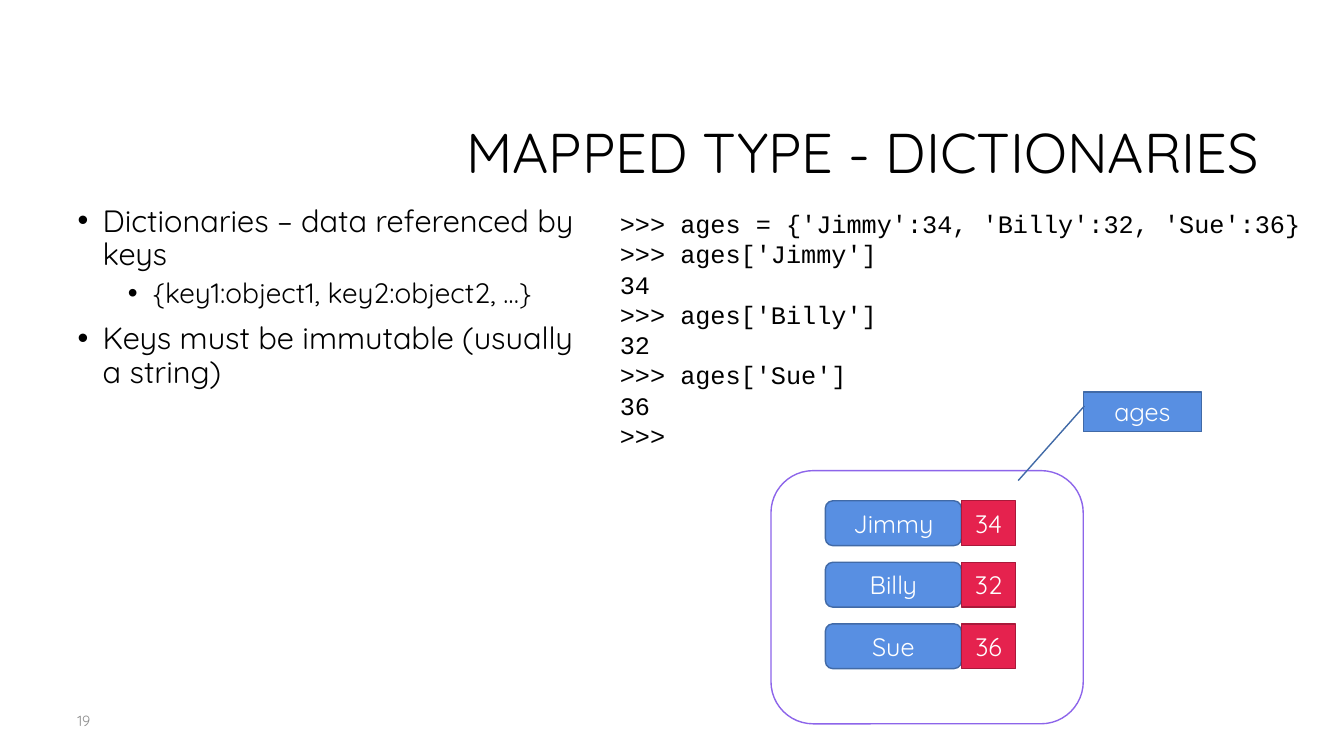
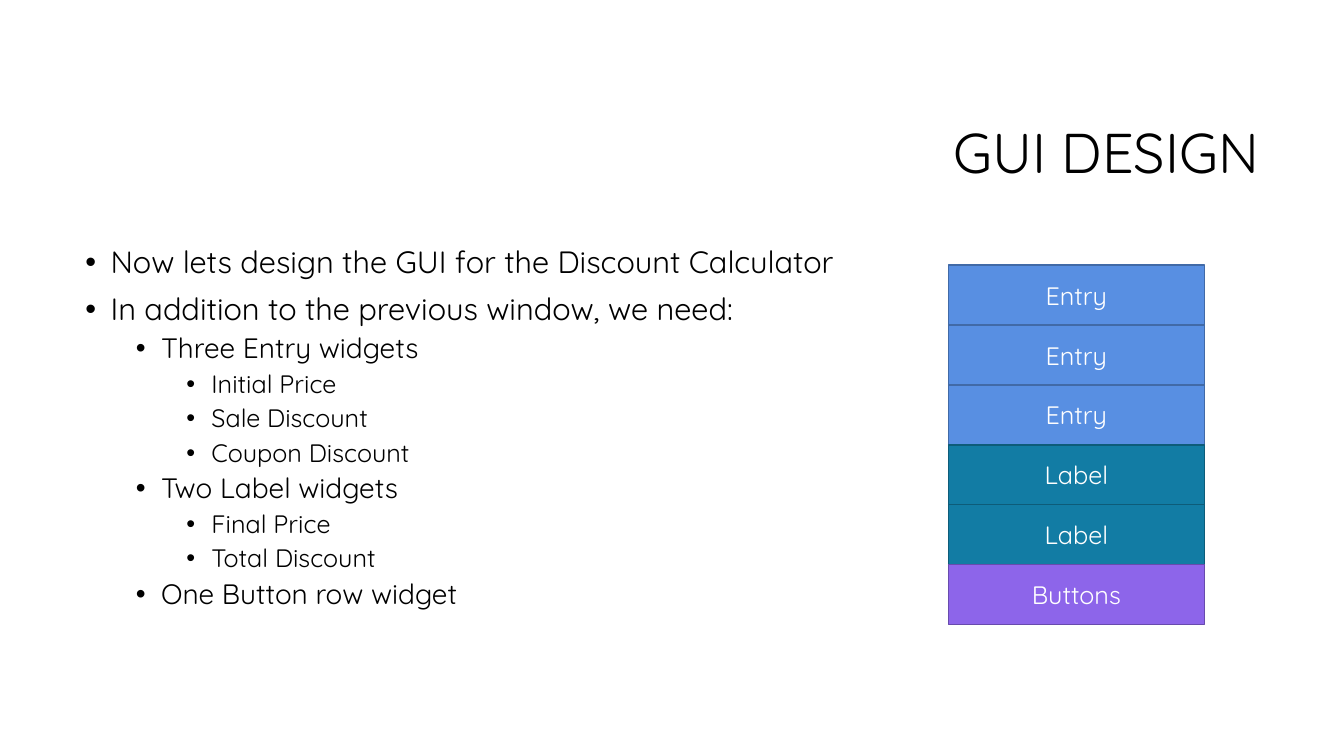
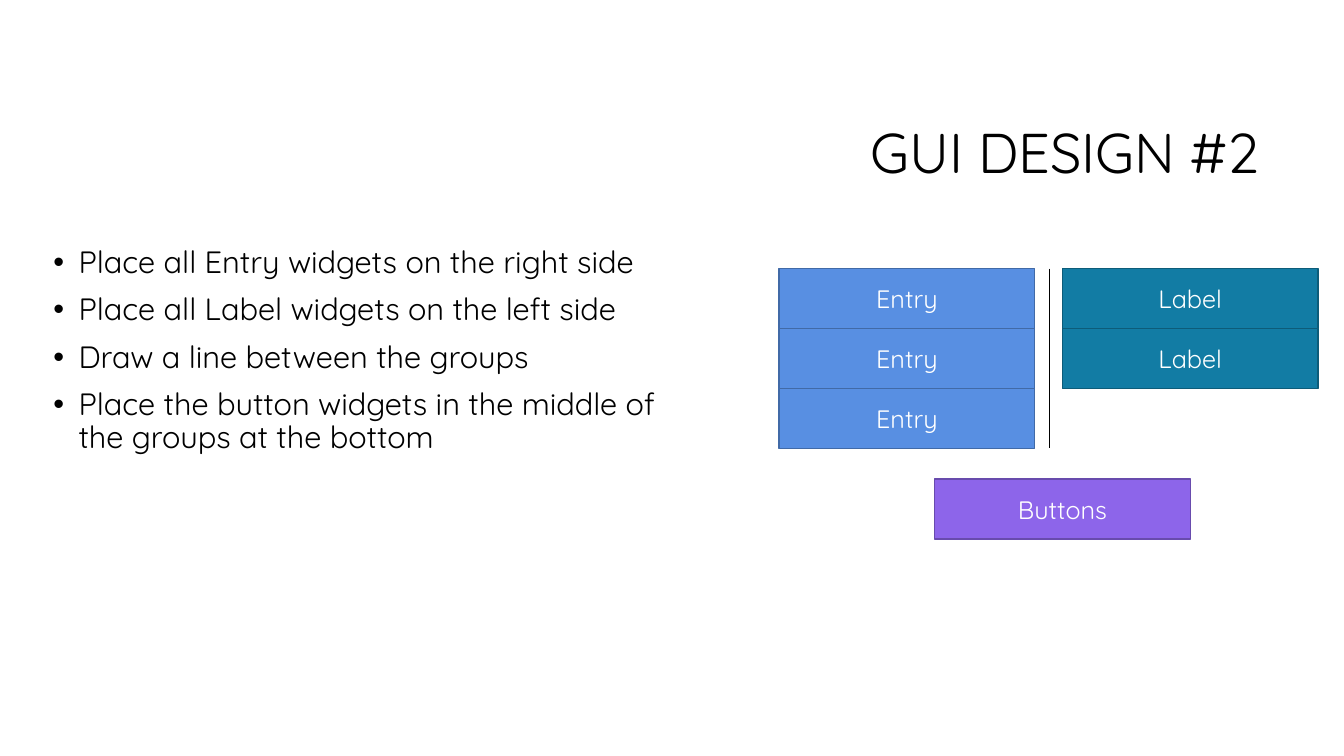
from dataclasses import dataclass

from lxml.etree import SubElement
from pptx import Presentation
from pptx.dml.color import RGBColor
from pptx.enum.shapes import MSO_CONNECTOR, MSO_SHAPE
from pptx.enum.text import MSO_ANCHOR, MSO_AUTO_SIZE, PP_ALIGN
from pptx.oxml.ns import qn
from pptx.presentation import Presentation as Deck
from pptx.shapes.autoshape import Shape
from pptx.slide import Slide
from pptx.text.text import TextFrame, _Paragraph
from pptx.util import Cm, Pt

COLORS = {
    "white": "FFFFFF",
    "black": "000000",
    "gray": "8C8C8C",
    "blue": "588FE2",
    "blue_edge": "416AA7",
    "red": "E5224E",
    "red_edge": "A9193A",
    "teal": "127CA4",
    "teal_edge": "0D5C79",
    "purple": "8D65EA",
    "purple_edge": "684BAD",
}
TEXT_FONT = "Quicksand"
CODE_FONT = "Courier New"
BULLET_SIZES = (22, 20, 18)
WIDGET_COLORS = {"Entry": "blue", "Label": "teal", "Buttons": "purple"}
WIDGET_WIDTH, WIDGET_HEIGHT = 6.45, 1.51


@dataclass(frozen=True)
class Area:
    left: float
    top: float
    width: float
    height: float


@dataclass(frozen=True)
class Bullet:
    text: str
    level: int = 0


@dataclass(frozen=True)
class WidgetStack:
    left: float
    top: float
    labels: tuple[str, ...]


TITLE_AREA = Area(8.05, 2.13, 23.93, 3.58)


def color(name: str) -> RGBColor:
    return RGBColor.from_string(COLORS[name])


def place(shape: Shape, area: Area) -> None:
    shape.left, shape.top = Cm(area.left), Cm(area.top)
    shape.width, shape.height = Cm(area.width), Cm(area.height)


def write(frame: TextFrame, text: str, *, size: float = 18, ink: str = "black",
          font: str = TEXT_FONT, align: PP_ALIGN = PP_ALIGN.LEFT,
          line_spacing: float = 1.0, space_before: float = 0) -> _Paragraph:
    first = frame.paragraphs[0]
    para = frame.add_paragraph() if first.runs else first
    para.alignment = align
    para.line_spacing = line_spacing
    para.space_before = Pt(space_before)
    span = para.add_run()
    span.text = text
    span.font.size = Pt(size)
    span.font.name = font
    span.font.color.rgb = color(ink)
    return para


def write_bullet(frame: TextFrame, bullet: Bullet) -> None:
    para = write(frame, bullet.text, size=BULLET_SIZES[bullet.level],
                 line_spacing=0.9, space_before=5 if bullet.level else 10)
    para.level = bullet.level
    properties = para._p.get_or_add_pPr()
    properties.set("marL", str(Cm(0.635 + 1.27 * bullet.level)))
    properties.set("indent", str(Cm(-0.635)))
    SubElement(properties, qn("a:buChar")).set("char", "•")


def add_page(deck: Deck, title: str, body_area: Area, bullets: list[Bullet]) -> Slide:
    page = deck.slides.add_slide(deck.slide_layouts[1])
    heading, body = page.shapes.title, page.placeholders[1]
    for box, area, anchor in ((heading, TITLE_AREA, MSO_ANCHOR.MIDDLE),
                              (body, body_area, MSO_ANCHOR.TOP)):
        place(box, area)
        box.text_frame.word_wrap = True
        box.text_frame.auto_size = MSO_AUTO_SIZE.NONE
        box.text_frame.vertical_anchor = anchor
    write(heading.text_frame, title, size=40, align=PP_ALIGN.RIGHT, line_spacing=0.9)
    for bullet in bullets:
        write_bullet(body.text_frame, bullet)
    return page


def add_text_box(page: Slide, area: Area) -> TextFrame:
    box = page.shapes.add_textbox(
        Cm(area.left), Cm(area.top), Cm(area.width), Cm(area.height))
    return box.text_frame


def add_block(page: Slide, area: Area, *, fill: str, edge: str, text: str = "",
              kind: MSO_SHAPE = MSO_SHAPE.RECTANGLE) -> Shape:
    block = page.shapes.add_shape(
        kind, Cm(area.left), Cm(area.top), Cm(area.width), Cm(area.height))
    block.shadow.inherit = False
    block.fill.solid()
    block.fill.fore_color.rgb = color(fill)
    block.line.color.rgb = color(edge)
    block.line.width = Pt(1)
    if text:
        block.text_frame.vertical_anchor = MSO_ANCHOR.MIDDLE
        write(block.text_frame, text, ink="white", align=PP_ALIGN.CENTER)
    return block


def add_widgets(page: Slide, stack: WidgetStack) -> None:
    for row, label in enumerate(stack.labels):
        fill = WIDGET_COLORS[label]
        area = Area(stack.left, stack.top + row * WIDGET_HEIGHT,
                    WIDGET_WIDTH, WIDGET_HEIGHT)
        add_block(page, area, fill=fill, edge=f"{fill}_edge", text=label)


def add_divider(page: Slide, left: float, top: float, bottom: float) -> None:
    divider = page.shapes.add_connector(
        MSO_CONNECTOR.STRAIGHT, Cm(left), Cm(top), Cm(left), Cm(bottom))
    divider.line.color.rgb = color("black")
    divider.line.width = Pt(0.75)
    SubElement(divider._element.spPr, qn("a:effectLst"))


def build_dictionaries(deck: Deck) -> None:
    page = add_page(deck, "MAPPED TYPE - DICTIONARIES", Area(1.7, 5.05, 13.26, 4.9), [
        Bullet("Dictionaries – data referenced by keys"),
        Bullet("{key1:object1, key2:object2, …}", 1),
        Bullet("Keys must be immutable (usually a string)"),
    ])
    number = add_text_box(page, Area(1.7, 17.65, 7.9, 1.02))
    number.vertical_anchor = MSO_ANCHOR.MIDDLE
    write(number, "19", size=10.5, ink="gray")

    add_block(page, Area(19.43, 11.86, 7.87, 6.38), fill="white", edge="purple",
              kind=MSO_SHAPE.ROUNDED_RECTANGLE)

    ages = {"Jimmy": 34, "Billy": 32, "Sue": 36}
    code = add_text_box(page, Area(15.37, 5.13, 17.75, 6.4))
    code.word_wrap = False
    code.auto_size = MSO_AUTO_SIZE.SHAPE_TO_FIT_TEXT
    lines = [f">>> ages = {{{', '.join(f'{name!r}:{age}' for name, age in ages.items())}}}"]
    for name, age in ages.items():
        lines += [f">>> ages[{name!r}]", str(age)]
    for line in [*lines, ">>>"]:
        write(code, line, font=CODE_FONT)

    for row, (name, age) in enumerate(ages.items()):
        top = 12.62 + row * 1.55
        add_block(page, Area(20.8, top, 3.43, 1.13), fill="blue", edge="blue_edge",
                  text=name, kind=MSO_SHAPE.ROUNDED_RECTANGLE)
        add_block(page, Area(24.23, top, 1.37, 1.13), fill="red", edge="red_edge",
                  text=str(age))

    callout = add_block(page, Area(27.3, 9.88, 2.98, 1.0), fill="blue", edge="blue_edge",
                        text="ages", kind=MSO_SHAPE.LINE_CALLOUT_1)
    for index, value in enumerate((0.35, 0.01, 2.23, -0.55)):
        callout.adjustments[index] = value


def build_design(deck: Deck) -> None:
    page = add_page(deck, "GUI DESIGN", Area(1.9, 6.1, 30.05, 11.18), [
        Bullet("Now lets design the GUI for the Discount Calculator"),
        Bullet("In addition to the previous window, we need:"),
        Bullet("Three Entry widgets", 1),
        Bullet("Initial Price", 2),
        Bullet("Sale Discount", 2),
        Bullet("Coupon Discount", 2),
        Bullet("Two Label widgets", 1),
        Bullet("Final Price", 2),
        Bullet("Total Discount", 2),
        Bullet("One Button row widget", 1),
    ])
    labels = ("Entry",) * 3 + ("Label",) * 2 + ("Buttons",)
    add_widgets(page, WidgetStack(23.9, 6.68, labels))


def build_second_design(deck: Deck) -> None:
    page = add_page(deck, "GUI DESIGN #2", Area(1.09, 6.1, 16.89, 11.18), [
        Bullet("Place all Entry widgets on the right side"),
        Bullet("Place all Label widgets on the left side"),
        Bullet("Draw a line between the groups"),
        Bullet("Place the button widgets in the middle of the groups at the bottom"),
    ])
    top = 6.77
    for stack in (WidgetStack(19.63, top, ("Entry",) * 3),
                  WidgetStack(26.77, top, ("Label",) * 2),
                  WidgetStack(23.55, 12.07, ("Buttons",))):
        add_widgets(page, stack)
    add_divider(page, 26.44, top, top + 3 * WIDGET_HEIGHT)


def main() -> None:
    deck = Presentation()
    deck.slide_width, deck.slide_height = Cm(33.87), Cm(19.05)
    build_dictionaries(deck)
    build_design(deck)
    build_second_design(deck)
    deck.save("out.pptx")


if __name__ == "__main__":
    main()
